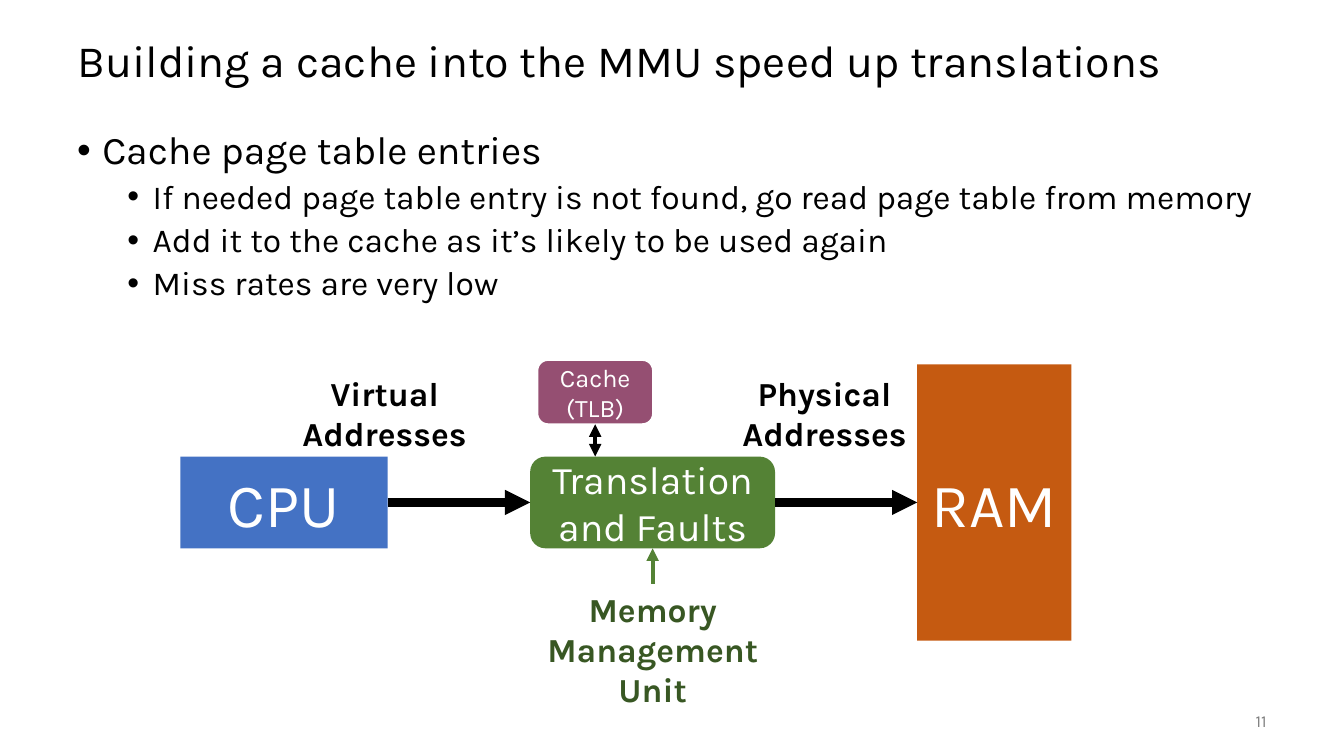
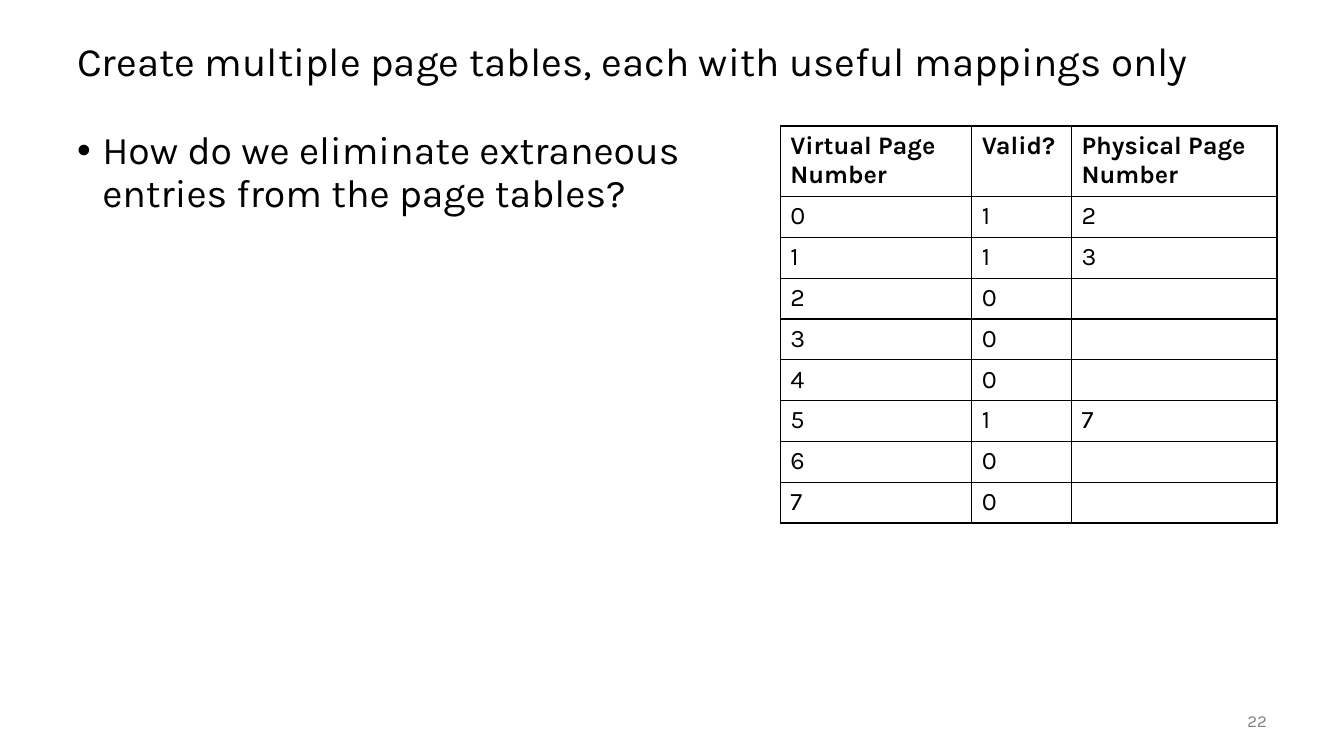
from dataclasses import dataclass
from typing import Optional

from lxml.etree import SubElement
from pptx import Presentation
from pptx.dml.color import RGBColor
from pptx.enum.shapes import MSO_CONNECTOR as Link, MSO_SHAPE as Preset
from pptx.enum.text import MSO_ANCHOR as Anchor, MSO_AUTO_SIZE as AutoSize, PP_ALIGN as Align
from pptx.oxml.ns import qn
from pptx.util import Inches, Pt

# Shared look
FONT = "Karla"
COLORS = {
    "black": "000000", "white": "FFFFFF", "grey": "808080",
    "blue": "4472C4", "orange": "C55A11", "green": "548235",
    "dark_green": "385723", "purple": "954F72",
}

# Grid of 40 columns by 30 rows
COLUMNS, ROWS = 40, 30
WIDTH, HEIGHT = Inches(COLUMNS / 3), Inches(ROWS / 4)
TOP, BOTTOM, LEFT, RIGHT = 0, 2, 1, 3  # sides of a rectangle
MARGIN, BODY_ROW = 2, 5


def across(columns: float) -> int:
    return round(WIDTH * columns / COLUMNS)


def down(rows: float) -> int:
    return round(HEIGHT * rows / ROWS)


@dataclass(frozen=True)
class Area:
    column: float
    row: float
    columns: float
    rows: float

    def place(self) -> tuple[int, int, int, int]:
        return across(self.column), down(self.row), across(self.columns), down(self.rows)


@dataclass(frozen=True)
class Style:
    size: float
    color: str = "black"
    bold: bool = False


@dataclass(frozen=True)
class Block:
    name: str
    area: Area
    text: str
    style: Style
    fill: Optional[str] = None  # no fill makes a plain label
    preset: Preset = Preset.RECTANGLE
    outline: Optional[str] = None


@dataclass(frozen=True)
class Arrow:
    start: str
    start_side: int
    end: str
    end_side: int
    color: str
    weight: float
    double: bool = False
    straight_down: bool = False  # ends on the edge below its start


@dataclass(frozen=True)
class Bullet:
    text: str
    level: int = 0


TITLE_AREA = Area(MARGIN, 1, 36, 3)
NUMBER_AREA = Area(35, 27.8, 3, 1.6)
NUMBER_STYLE = Style(12, "grey")
BULLET_SIZES, BULLET_INDENTS, BULLET_GAPS = (28, 24), (0.25, 0.75), (14, 5)


def rgb(color: str) -> RGBColor:
    return RGBColor.from_string(COLORS[color])


def add_span(para, text: str, style: Style) -> None:
    for index, line in enumerate(text.split("\n")):
        if index:
            para.add_line_break()
        span = para.add_run()
        span.text = line
        span.font.name = FONT
        span.font.size = Pt(style.size)
        span.font.bold = style.bold
        span.font.color.rgb = rgb(style.color)


def add_label(page, area: Area, text: str, style: Style, align: Align, anchor: Anchor):
    box = page.shapes.add_textbox(*area.place())
    box.text_frame.word_wrap = True
    box.text_frame.vertical_anchor = anchor
    para = box.text_frame.paragraphs[0]
    para.alignment = align
    add_span(para, text, style)
    return box


def add_page(deck, title: str, title_size: float, number: str):
    """Add a page with its title and page number."""
    page = deck.slides.add_slide(deck.slide_layouts[5])
    box = page.shapes.title
    box.left, box.top, box.width, box.height = TITLE_AREA.place()
    frame = box.text_frame
    frame.auto_size = AutoSize.NONE
    frame.vertical_anchor = Anchor.MIDDLE
    para = frame.paragraphs[0]
    para.alignment, para.line_spacing = Align.LEFT, 0.9
    add_span(para, title, Style(title_size))
    add_label(page, NUMBER_AREA, number, NUMBER_STYLE, Align.RIGHT, Anchor.MIDDLE)
    return page


def add_bullets(page, columns: float, bullets: list[Bullet]) -> None:
    box = page.shapes.add_textbox(*Area(MARGIN, BODY_ROW, columns, 22).place())
    frame = box.text_frame
    frame.word_wrap = True
    for index, bullet in enumerate(bullets):
        para = frame.add_paragraph() if index else frame.paragraphs[0]
        para.level = bullet.level
        props = para._p.get_or_add_pPr()
        props.set("marL", str(Inches(BULLET_INDENTS[bullet.level])))
        props.set("indent", str(-Inches(0.25)))
        SubElement(props, qn("a:buFont"), typeface="Arial")
        SubElement(props, qn("a:buChar"), char="•")
        para.line_spacing = 0.9
        if index:
            para.space_before = Pt(BULLET_GAPS[bullet.level])
        add_span(para, bullet.text, Style(BULLET_SIZES[bullet.level]))


def add_block(page, block: Block):
    if block.fill is None:
        return add_label(page, block.area, block.text, block.style, Align.CENTER, Anchor.TOP)
    box = page.shapes.add_shape(block.preset, *block.area.place())
    box.shadow.inherit = False
    box.fill.solid()
    box.fill.fore_color.rgb = rgb(block.fill)
    if block.outline:
        box.line.color.rgb = rgb(block.outline)
        box.line.width = Pt(1.5)
    else:
        box.line.fill.background()
    box.text_frame.word_wrap = True
    box.text_frame.vertical_anchor = Anchor.MIDDLE
    para = box.text_frame.paragraphs[0]
    para.alignment = Align.CENTER
    add_span(para, block.text, block.style)
    return box


def add_arrow(page, arrow: Arrow, boxes: dict) -> None:
    start, end = boxes[arrow.start], boxes[arrow.end]
    middle = start.left + start.width // 2
    line = page.shapes.add_connector(
        Link.STRAIGHT, middle, start.top + start.height, middle, end.top)
    line.begin_connect(start, arrow.start_side)
    if not arrow.straight_down:
        line.end_connect(end, arrow.end_side)
    line.line.color.rgb = rgb(arrow.color)
    line.line.width = Pt(arrow.weight)
    stroke = line.line._get_or_add_ln()
    if arrow.double:
        SubElement(stroke, qn("a:headEnd"), type="triangle")
    SubElement(stroke, qn("a:tailEnd"), type="triangle")
    SubElement(line._element.spPr, qn("a:effectLst"))


def fill_cell(cell, text: str, style: Style) -> None:
    props = cell._tc.get_or_add_tcPr()
    for side in ("lnL", "lnR", "lnT", "lnB"):
        border = SubElement(props, qn(f"a:{side}"), w=str(Pt(1)))
        paint = SubElement(border, qn("a:solidFill"))
        SubElement(paint, qn("a:srgbClr"), val=COLORS["black"])
    cell.fill.background()
    if text:
        add_span(cell.text_frame.paragraphs[0], text, style)


def add_grid_table(page, column: float, widths: list[float], heights: list[float],
                   rows: list[tuple[str, ...]]) -> None:
    area = Area(column, BODY_ROW, sum(widths), sum(heights))
    table = page.shapes.add_table(len(rows), len(widths), *area.place()).table
    table.horz_banding = table.first_row = False
    for index, width in enumerate(widths):
        table.columns[index].width = across(width)
    for index, (height, texts) in enumerate(zip(heights, rows)):
        table.rows[index].height = down(height)
        for place, text in enumerate(texts):
            fill_cell(table.cell(index, place), text, Style(18, bold=index == 0))


# Memory diagram
CAPTION = Style(24, bold=True)
BIG = Style(44, "white")
UNIT_ROW, UNIT_ROWS = 18.12, 3.64
BLOCKS = [
    Block("virtual", Area(4.11, 14.6, 14.67, 3.64), "Virtual\nAddresses", CAPTION),
    Block("cpu", Area(5.37, UNIT_ROW, 6.17, UNIT_ROWS), "CPU", BIG, "blue"),
    Block("ram", Area(27.3, 14.46, 4.59, 10.96), "RAM", BIG, "orange"),
    Block("physical", Area(19.41, 14.6, 10.26, 3.64), "Physical\nAddresses", CAPTION),
    Block("translation", Area(15.78, UNIT_ROW, 7.29, UNIT_ROWS), "Translation and Faults",
          Style(28, "white"), "green", Preset.ROUNDED_RECTANGLE),
    Block("mmu", Area(15.24, 23.16, 8.37, 5.24), "Memory Management Unit",
          Style(24, "dark_green", True)),
    Block("cache", Area(15.99, 14.28, 3.45, 2.56), "Cache (TLB)", Style(18, "white"),
          "purple", Preset.ROUNDED_RECTANGLE, "white"),
]
ARROWS = [
    Arrow("cpu", RIGHT, "translation", LEFT, "black", 6),
    Arrow("translation", RIGHT, "ram", LEFT, "black", 6),
    Arrow("mmu", TOP, "translation", BOTTOM, "green", 3),
    Arrow("cache", BOTTOM, "translation", TOP, "black", 3, double=True, straight_down=True),
]

# Page table: valid pages and their physical page
PAGE_COUNT = 8
MAPPINGS = {0: 2, 1: 3, 5: 7}


def build_cache_page(deck) -> None:
    page = add_page(deck, "Building a cache into the MMU speed up translations", 32, "11")
    add_bullets(page, 36, [
        Bullet("Cache page table entries"),
        Bullet("If needed page table entry is not found, go read page table from memory", 1),
        Bullet("Add it to the cache as it’s likely to be used again", 1),
        Bullet("Miss rates are very low", 1),
    ])
    boxes = {block.name: add_block(page, block) for block in BLOCKS}
    for arrow in ARROWS:
        add_arrow(page, arrow, boxes)


def build_mappings_page(deck) -> None:
    page = add_page(
        deck, "Create multiple page tables, each with useful mappings only", 28.8, "22")
    add_bullets(page, 19.38, [
        Bullet("How do we eliminate extraneous entries from the page tables?")])
    rows = [("Virtual Page Number", "Valid?", "Physical Page Number")]
    rows += [(str(number), str(int(number in MAPPINGS)), str(MAPPINGS.get(number, "")))
             for number in range(PAGE_COUNT)]
    add_grid_table(page, 23.22, [5.7, 2.97, 6.12], [2.76] + [1.62] * PAGE_COUNT, rows)


def main() -> None:
    deck = Presentation()
    deck.slide_width, deck.slide_height = WIDTH, HEIGHT
    build_cache_page(deck)
    build_mappings_page(deck)
    deck.save("out.pptx")


if __name__ == "__main__":
    main()
